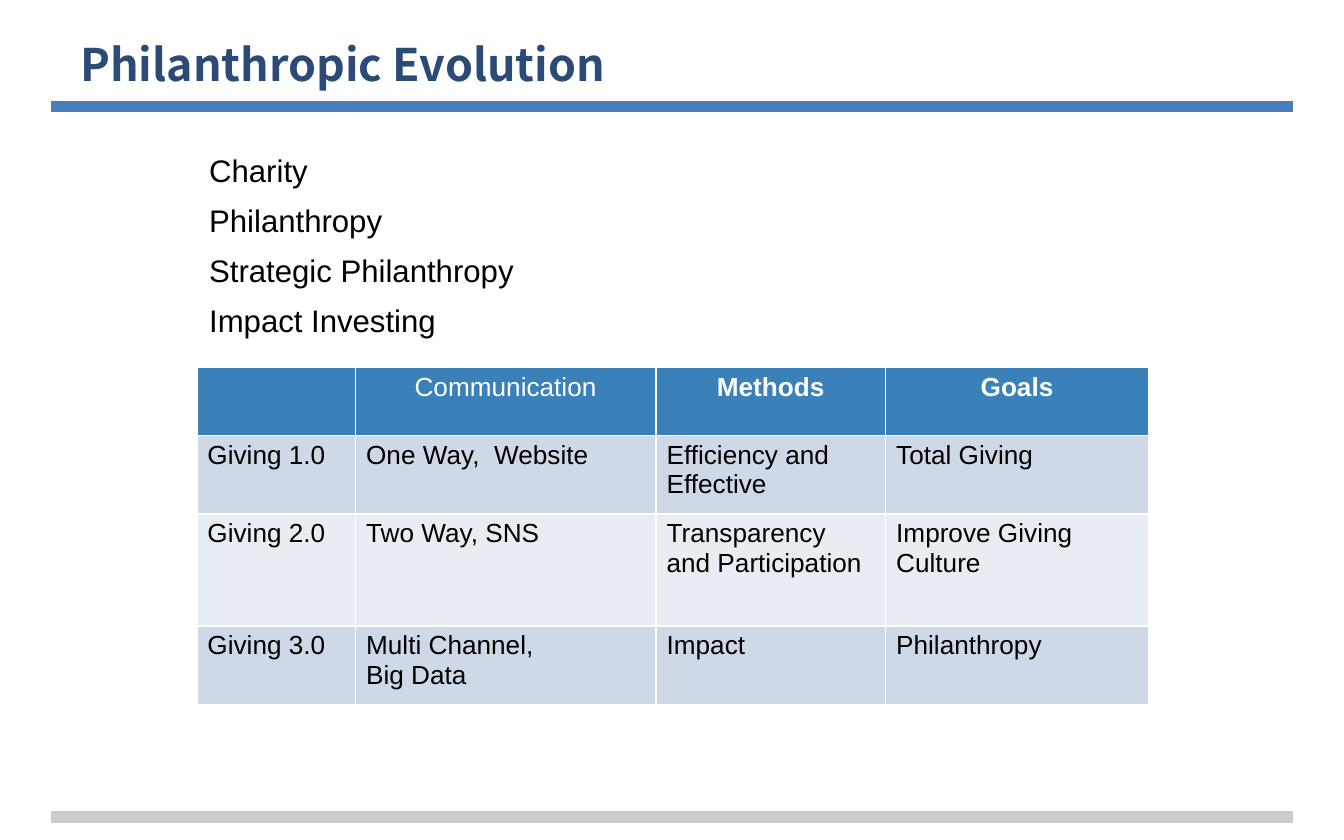
from dataclasses import dataclass

import pptx
import pptx.dml.color
import pptx.enum.shapes
import pptx.enum.text
import pptx.oxml
import pptx.oxml.ns
import pptx.util
from pptx.dml.color import RGBColor
from pptx.util import Pt

WHITE = RGBColor(0xFF, 0xFF, 0xFF)
BLACK = RGBColor(0x00, 0x00, 0x00)
NAVY = RGBColor(0x2C, 0x4A, 0x76)
RULE_BLUE = RGBColor(0x4A, 0x7D, 0xBB)
RULE_GRAY = RGBColor(0xCC, 0xCC, 0xCC)
HEADER_BLUE = RGBColor(0x3A, 0x81, 0xBA)
BAND_DARK = RGBColor(0xCE, 0xD8, 0xE7)
BAND_LIGHT = RGBColor(0xE8, 0xED, 0xF3)

BODY_FONT = "Arial"
TITLE_FONT = "Noto Sans CJK KR"


@dataclass
class Rule:
    y: float
    color: RGBColor


@dataclass
class TextBlock:
    left: float
    top: float
    width: float
    height: float
    lines: list[str]
    font: str
    size: float
    color: RGBColor
    bold: bool = False
    margin_top: float = 7.2
    space_before: float = 0
    anchor: pptx.enum.text.MSO_ANCHOR = pptx.enum.text.MSO_ANCHOR.TOP


@dataclass
class TableRow:
    height: float
    fill: RGBColor
    cells: list[str]


RULES = [Rule(437.75, RULE_GRAY), Rule(57.25, RULE_BLUE)]

TEXT_BLOCKS = [
    TextBlock(36, 13.5, 648, 42, ["Philanthropic Evolution"], TITLE_FONT, 24, NAVY,
              bold=True, anchor=pptx.enum.text.MSO_ANCHOR.BOTTOM),
    TextBlock(105, 72, 540, 130,
              ["Charity", "Philanthropy", "Strategic Philanthropy", "Impact Investing"],
              BODY_FONT, 16.7, BLACK, margin_top=9, space_before=6.7),
]

COLUMN_WIDTHS = [85, 161, 123, 141]
TABLE_ROWS = [
    TableRow(36.5, HEADER_BLUE, ["", "Communication", "Methods", "Goals"]),
    TableRow(42, BAND_DARK,
             ["Giving 1.0", "One Way,  Website", "Efficiency and\nEffective", "Total Giving"]),
    TableRow(60, BAND_LIGHT,
             ["Giving 2.0", "Two Way, SNS", "Transparency and Participation",
              "Improve Giving Culture"]),
    TableRow(42.5, BAND_DARK,
             ["Giving 3.0", "Multi Channel,\nBig Data", "Impact", "Philanthropy"]),
]


def add_rule(slide: pptx.slide.Slide, rule: Rule) -> None:
    connector = slide.shapes.add_connector(
        pptx.enum.shapes.MSO_CONNECTOR.STRAIGHT, Pt(27.5), Pt(rule.y), Pt(692.5), Pt(rule.y))
    connector.line.color.rgb = rule.color
    connector.line.width = Pt(6)
    properties = connector._element.spPr
    properties.append(pptx.oxml.parse_xml(
        f"<a:effectLst {pptx.oxml.ns.nsdecls('a')}/>"))


def add_text_block(slide: pptx.slide.Slide, block: TextBlock) -> None:
    shape = slide.shapes.add_textbox(
        Pt(block.left), Pt(block.top), Pt(block.width), Pt(block.height))
    frame = shape.text_frame
    frame.word_wrap = True
    frame.vertical_anchor = block.anchor
    frame.margin_left = frame.margin_right = frame.margin_bottom = Pt(7.2)
    frame.margin_top = Pt(block.margin_top)
    frame.text = "\n".join(block.lines)
    for index, paragraph in enumerate(frame.paragraphs):
        paragraph.space_before = Pt(block.space_before if index else 0)
        paragraph.font.name = block.font
        paragraph.font.size = Pt(block.size)
        paragraph.font.bold = block.bold
        paragraph.font.color.rgb = block.color


def add_cell_borders(cell: pptx.table._Cell, color: RGBColor, width: float) -> None:
    properties = cell._tc.get_or_add_tcPr()
    for index, side in enumerate(("lnL", "lnR", "lnT", "lnB")):
        properties.insert(index, pptx.oxml.parse_xml(
            f'<a:{side} {pptx.oxml.ns.nsdecls("a")} w="{Pt(width)}"><a:solidFill>'
            f'<a:srgbClr val="{color}"/></a:solidFill></a:{side}>'))


def fill_cell(cell: pptx.table._Cell, text: str, fill: RGBColor,
              is_header: bool, is_bold: bool) -> None:
    cell.fill.solid()
    cell.fill.fore_color.rgb = fill
    cell.margin_left = cell.margin_right = Pt(5.76)
    cell.margin_top = cell.margin_bottom = Pt(2.88)
    add_cell_borders(cell, WHITE, 1)
    cell.text_frame.text = text
    for paragraph in cell.text_frame.paragraphs:
        if is_header:
            paragraph.alignment = pptx.enum.text.PP_ALIGN.CENTER
        paragraph.font.name = BODY_FONT
        paragraph.font.size = Pt(14)
        paragraph.font.bold = is_bold
        paragraph.font.color.rgb = WHITE if is_header else BLACK


def add_giving_table(slide: pptx.slide.Slide, rows: list[TableRow]) -> None:
    table = slide.shapes.add_table(
        len(rows), len(COLUMN_WIDTHS), Pt(105.4), Pt(196.8),
        Pt(sum(COLUMN_WIDTHS)), Pt(sum(row.height for row in rows))).table
    for column, width in zip(table.columns, COLUMN_WIDTHS):
        column.width = Pt(width)
    for row_index, row in enumerate(rows):
        table.rows[row_index].height = Pt(row.height)
        is_header = row_index == 0
        for column_index, text in enumerate(row.cells):
            # "Communication" is the one header in regular weight
            is_bold = is_header and column_index > 1
            fill_cell(table.cell(row_index, column_index), text, row.fill, is_header, is_bold)


def main() -> None:
    presentation = pptx.Presentation()
    presentation.slide_width = Pt(720)
    presentation.slide_height = Pt(450)
    slide = presentation.slides.add_slide(presentation.slide_layouts[6])

    # Header and footer rules
    for rule in RULES:
        add_rule(slide, rule)

    # Title and stages of giving
    for block in TEXT_BLOCKS:
        add_text_block(slide, block)

    # Comparison of giving generations
    add_giving_table(slide, TABLE_ROWS)

    presentation.save("out.pptx")


if __name__ == "__main__":
    main()
